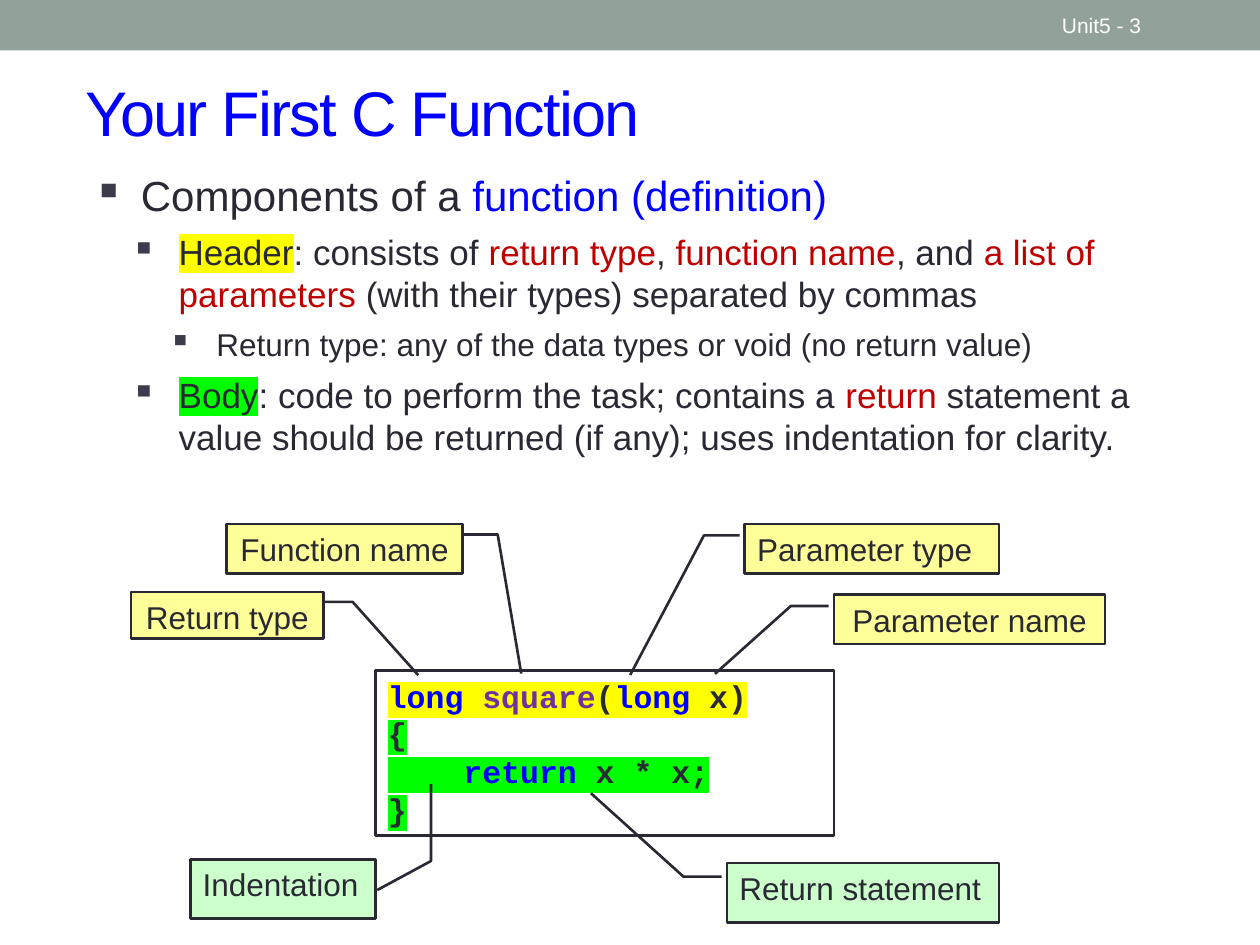
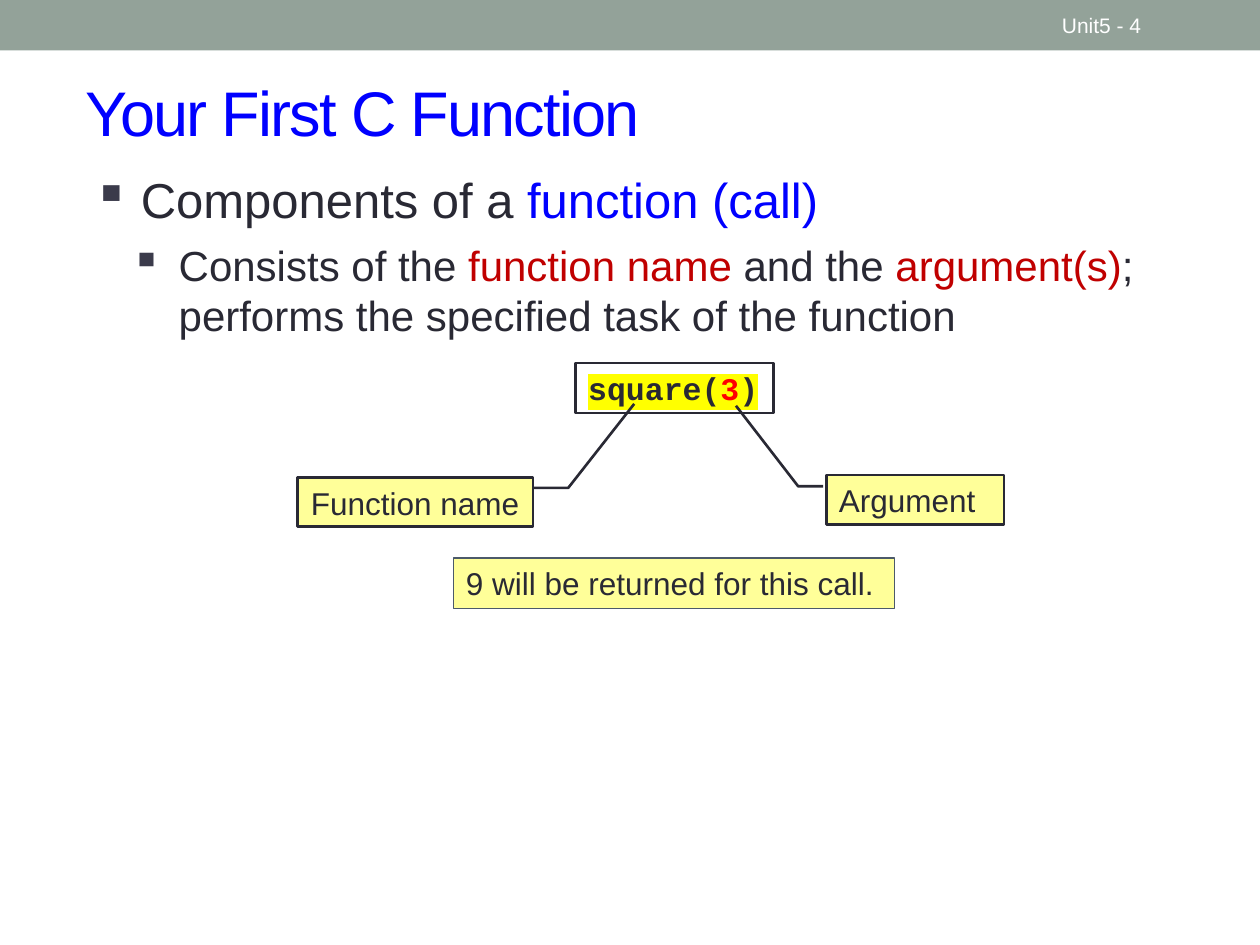
from lxml import etree
from pptx import Presentation
from pptx import util as u
from pptx.dml.color import RGBColor
from pptx.enum import shapes, text
from pptx.oxml import ns

COLORS = {
    "band": "93A299", "white": "FFFFFF", "ink": "292934", "bullet": "3B3B4B",
    "blue": "0000FF", "red": "C00000", "bright_red": "FF0000", "purple": "7030A0",
    "yellow": "FFFF00", "green": "00FF00", "pale_yellow": "FFFF99",
    "pale_green": "CCFFCC", "slate": "4C5A6A",
}
LEFT_ELBOW = [(-0.02, 0.23), (-0.16, 0.23)]
RIGHT_ELBOW = [(1, 0.21), (1.15, 0.21)]
CENTER = text.PP_ALIGN.CENTER


def rgb(name):
    return RGBColor.from_string(COLORS[name])


def box(*lengths):
    return [u.Inches(n) for n in lengths]


def add_color(parent, tag, color):
    el = etree.SubElement(parent, ns.qn(tag))
    etree.SubElement(el, ns.qn("a:srgbClr")).set("val", COLORS[color])
    return el


def write(p, content, size=18, color="ink", font="Arial", bold=False,
          highlight=None, spacing=None):
    r = p.add_run()
    r.text = content
    r.font.size = u.Pt(size)
    r.font.bold = bold
    r.font.color.rgb = rgb(color)
    rPr = r._r.get_or_add_rPr()
    if highlight:
        add_color(rPr, "a:highlight", highlight)
    if spacing:
        rPr.set("spc", str(spacing * 100))
    r.font.name = font


def write_lines(tf, lines, align=text.PP_ALIGN.LEFT, **style):
    for i, runs in enumerate(lines):
        p = tf.paragraphs[0] if i == 0 else tf.add_paragraph()
        p.alignment = align
        p.line_spacing = u.Pt(1.2 * style.get("size", 18))
        for content, fmt in runs:
            write(p, content, **{**style, **fmt})


def style_shape(sp, fill, line=None, width=1.5):
    sp.shadow.inherit = False
    sp.fill.solid()
    sp.fill.fore_color.rgb = rgb(fill)
    if line:
        sp.line.color.rgb = rgb(line)
        sp.line.width = u.Pt(width)
    else:
        sp.line.fill.background()
    tf = sp.text_frame
    tf.word_wrap = True
    tf.vertical_anchor = text.MSO_ANCHOR.TOP
    return tf


def add_box(s, at, lines, fill="white", line="ink", width=1.5, **style):
    sp = s.shapes.add_shape(shapes.MSO_SHAPE.RECTANGLE, *box(*at))
    tf = style_shape(sp, fill, line, width)
    tf.auto_size = text.MSO_AUTO_SIZE.SHAPE_TO_FIT_TEXT
    write_lines(tf, lines, **style)


def add_code(s, at, lines):
    add_box(s, at, lines, font="Courier New", bold=True)


def add_callout(s, at, label, elbow, tip, fill="pale_yellow", align=text.PP_ALIGN.LEFT):
    sp = s.shapes.add_shape(shapes.MSO_SHAPE.LINE_CALLOUT_2, *box(*at))
    for i, (x, y) in enumerate([*elbow, tip]):
        sp.adjustments[2 * i] = y
        sp.adjustments[2 * i + 1] = x
    write_lines(style_shape(sp, fill, "ink"), [[(label, {})]], align)


def add_band(s):
    sp = s.shapes.add_shape(shapes.MSO_SHAPE.RECTANGLE, *box(0, 0, 10, 0.4))
    style_shape(sp, "band")


def add_text(s, at, anchor=text.MSO_ANCHOR.TOP):
    tf = s.shapes.add_textbox(*box(*at)).text_frame
    tf.word_wrap = True
    tf.vertical_anchor = anchor
    return tf


def add_bullets(s, at, items):
    tf = add_text(s, at)
    for i, (level, size, runs) in enumerate(items):
        p = tf.paragraphs[0] if i == 0 else tf.add_paragraph()
        p.level = level
        p.space_before = u.Pt(6)
        p.line_spacing = u.Pt(1.2 * size)
        pPr = p._p.get_or_add_pPr()
        pPr.set("marL", str(u.Inches(0.38 + 0.3 * level)))
        pPr.set("indent", str(u.Inches(-0.38)))
        add_color(pPr, "a:buClr", "bullet")
        etree.SubElement(pPr, ns.qn("a:buChar")).set("char", "▪")
        for content, fmt in runs:
            write(p, content, size=size, **fmt)


def add_slide(prs, title, number):
    s = prs.slides.add_slide(prs.slide_layouts[5])
    add_band(s)
    sp = s.shapes.title
    sp.left, sp.top, sp.width, sp.height = box(0.58, 0.42, 9.17, 0.92)
    tf = sp.text_frame
    tf.auto_size = text.MSO_AUTO_SIZE.NONE
    tf.vertical_anchor = text.MSO_ANCHOR.MIDDLE
    p = tf.paragraphs[0]
    p.alignment = text.PP_ALIGN.LEFT
    write(p, title, size=36, color="blue", spacing=-1)
    tf = add_text(s, (8.33, 0.02, 1.17, 0.36), text.MSO_ANCHOR.MIDDLE)
    write(tf.paragraphs[0], f"Unit5 - {number}", size=12, color="white")
    return s


def build_definition(prs):
    s = add_slide(prs, "Your First C Function", 3)
    red, blue = {"color": "red"}, {"color": "blue"}
    add_bullets(s, (0.64, 1.3, 9, 3.7), [
        (0, 24, [("Components of a ", {}), ("function (definition)", blue)]),
        (1, 20, [("Header", {"highlight": "yellow"}), (": consists of ", {}),
                 ("return type", red), (", ", {}), ("function name", red),
                 (", and ", {}), ("a list of parameters ", red),
                 ("(with their types) separated by commas", {})]),
        (2, 18, [("Return type: any of the data types or void (no return value)", {})]),
        (1, 20, [("Body", {"highlight": "green"}),
                 (": code to perform the task; contains a ", {}), ("return", red),
                 (" statement a value should be returned (if any); "
                  "uses indentation for clarity.", {})]),
    ])
    header, body = {"highlight": "yellow"}, {"highlight": "green"}
    add_code(s, (2.98, 5.32, 3.64, 1.31), [
        [("long ", {**header, **blue}), ("square", {**header, "color": "purple"}),
         ("(", header), ("long ", {**header, **blue}), ("x)", header)],
        [("{", body)],
        [("    ", body), ("return", {**body, **blue}), (" x * x;", body)],
        [("}", body)],
    ])
    add_callout(s, (1.04, 4.7, 1.53, 0.37), "Return type", RIGHT_ELBOW, (1.49, 1.78),
                align=CENTER)
    add_callout(s, (6.62, 4.72, 2.15, 0.39), "Parameter name", LEFT_ELBOW, (-0.44, 1.61),
                align=CENTER)
    add_callout(s, (1.8, 4.16, 1.87, 0.39), "Function name", RIGHT_ELBOW, (1.25, 3.04),
                align=CENTER)
    add_callout(s, (5.91, 4.16, 2.02, 0.39), "Parameter type", LEFT_ELBOW, (-0.45, 3.07))
    add_callout(s, (1.51, 6.82, 1.47, 0.47), "Indentation",
                [(1.01, 0.52), (1.3, 0.03)], (1.3, -1.27), "pale_green")
    add_callout(s, (5.77, 6.85, 2.16, 0.47), "Return statement", LEFT_ELBOW,
                (-0.5, -1.18), "pale_green")


def build_call(prs):
    s = add_slide(prs, "Your First C Function", 4)
    red, marked = {"color": "red"}, {"highlight": "yellow"}
    add_bullets(s, (0.64, 1.3, 9, 5.97), [
        (0, 28, [("Components of a ", {}), ("function (call)", {"color": "blue"})]),
        (1, 24, [("Consists of the ", {}), ("function name", red), (" and the ", {}),
                 ("argument(s)", red),
                 ("; performs the specified task of the function", {})]),
    ])
    add_code(s, (4.57, 2.88, 1.57, 0.4), [
        [("square(", marked), ("3", {**marked, "color": "bright_red"}), (")", marked)],
    ])
    add_callout(s, (2.36, 3.79, 1.87, 0.39), "Function name", RIGHT_ELBOW, (1.43, -1.5),
                align=CENTER)
    add_callout(s, (6.56, 3.77, 1.41, 0.39), "Argument", LEFT_ELBOW, (-0.51, -1.41))
    add_box(s, (3.6, 4.43, 3.5, 0.4), [[("9 will be returned for this call.", {})]],
            fill="pale_yellow", line="slate", width=1)


def main():
    prs = Presentation()
    prs.slide_width, prs.slide_height = box(10, 7.5)
    build_definition(prs)
    build_call(prs)
    prs.save("out.pptx")


if __name__ == "__main__":
    main()
